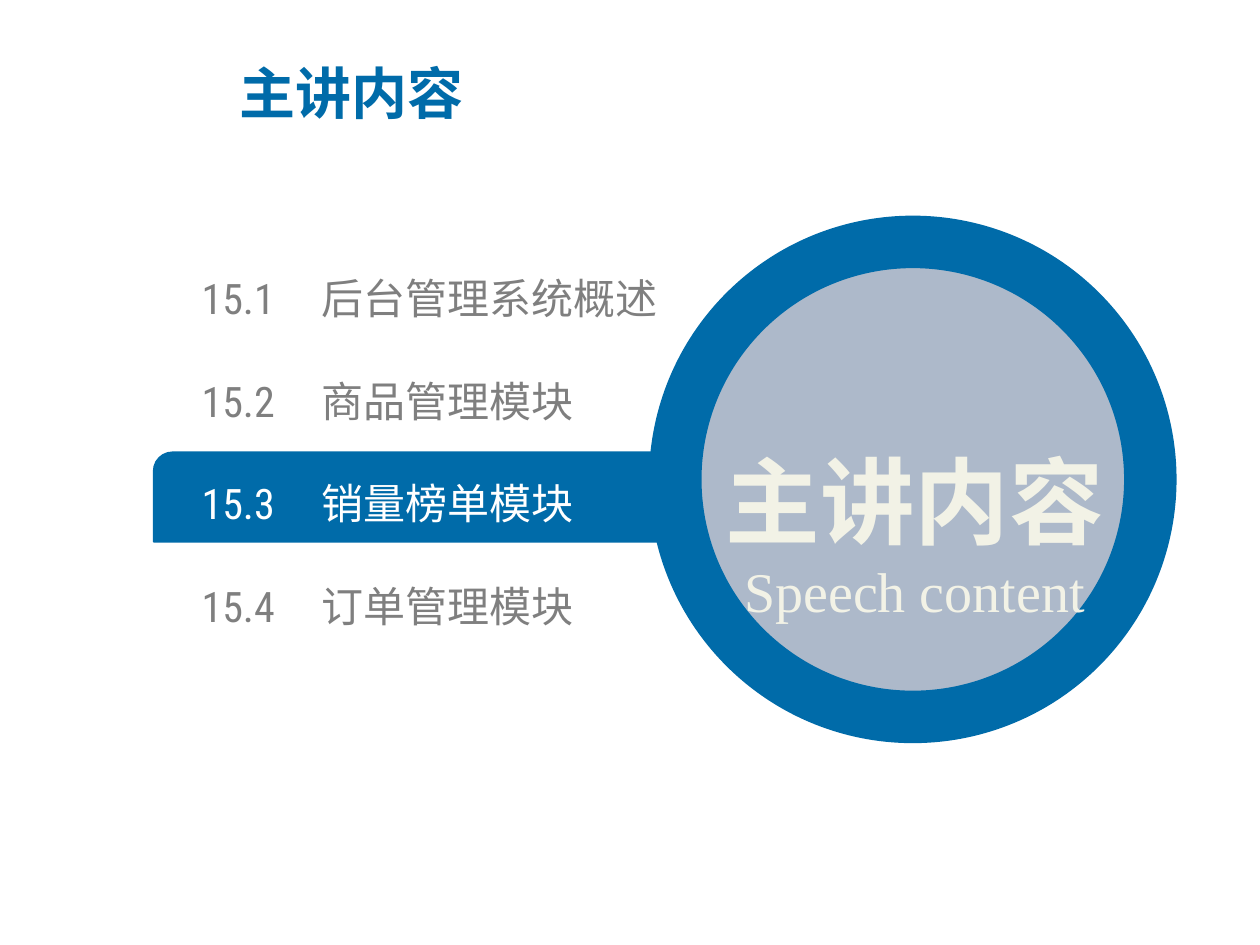
from pptx import Presentation
from pptx.dml.color import RGBColor
from pptx.enum.shapes import MSO_SHAPE
from pptx.enum.text import MSO_ANCHOR, MSO_AUTO_SIZE, PP_ALIGN
from pptx.oxml.ns import qn
from pptx.util import Inches, Pt
from lxml import etree

BAR, RING = MSO_SHAPE.ROUND_2_DIAG_RECTANGLE, MSO_SHAPE.OVAL
MIDDLE, FIXED = MSO_ANCHOR.MIDDLE, MSO_AUTO_SIZE.NONE
LEFT, CENTER = PP_ALIGN.LEFT, PP_ALIGN.CENTER
COLORS = {"blue": "006BA9", "disc": "ADB9CA", "cream": "F2F2E6",
          "gray": "7F7F7F", "white": "FFFFFF"}
CJK, NUMERALS, SERIF = "Noto Sans CJK SC", "Roboto Condensed", "Times New Roman"


def write(paragraph, text, font_name, size, color, bold=False, align=LEFT):
    paragraph.text = text
    paragraph.alignment = align
    font = paragraph.font
    font.name, font.size, font.bold = font_name, Pt(size), bold
    font.color.rgb = RGBColor.from_string(COLORS[color])
    # East Asian characters take their own typeface
    properties = paragraph._p.pPr.find(qn("a:defRPr"))
    latin = properties.find(qn("a:latin"))
    east_asian = etree.Element(qn("a:ea"), typeface=CJK)
    latin.addnext(east_asian)


def add_figure(kind, left, top, width, height, fill, line_width):
    figure = slide.shapes.add_shape(
        kind, Inches(left), Inches(top), Inches(width), Inches(height))
    figure.shadow.inherit = False
    figure.fill.solid()
    figure.fill.fore_color.rgb = RGBColor.from_string(COLORS[fill])
    figure.line.color.rgb = RGBColor.from_string(COLORS["blue"])
    figure.line.width = Pt(line_width)
    return figure


prs = Presentation()
prs.slide_width, prs.slide_height = Inches(10), Inches(7.5)
slide = prs.slides.add_slide(prs.slide_layouts[5])

# Title
title = slide.shapes.title
title.left, title.top = Inches(1.8), Inches(0.43)
title.width, title.height = Inches(5.41), Inches(0.61)
title.text_frame.vertical_anchor = MIDDLE
title.text_frame.auto_size = FIXED
write(title.text_frame.paragraphs[0], "主讲内容", CJK, 32, "blue", bold=True)

# Bar behind the current section, running into the ring
bar = add_figure(BAR, 1.22, 3.59, 5.12, 0.71, "blue", 1)
bar.adjustments[0], bar.adjustments[1] = 0.209, 0
add_figure(RING, 5.36, 1.92, 3.77, 3.77, "disc", 30)

# Ring caption
caption = slide.shapes.add_textbox(
    Inches(5.31), Inches(3.01), Inches(3.9), Inches(2)).text_frame
caption.word_wrap = True
caption.vertical_anchor = MIDDLE
heading = caption.paragraphs[0]
write(heading, "主讲内容", CJK, 54, "cream", bold=True, align=CENTER)
heading.line_spacing = 1.5
write(caption.add_paragraph(), "Speech content", SERIF, 32, "cream", align=CENTER)

# Section list: number, tab, name
sections = ["后台管理系统概述", "商品管理模块", "销量榜单模块", "订单管理模块"]
current = 3
for number, name in enumerate(sections, start=1):
    top = 2.16 + (number - 1) * 2.45 / 3
    entry = slide.shapes.add_textbox(
        Inches(1.6), Inches(top), Inches(3.67), Inches(0.4)).text_frame
    entry.margin_left = entry.margin_right = 0
    entry.margin_top = entry.margin_bottom = 0
    entry.word_wrap = True
    entry.vertical_anchor = MIDDLE
    line = entry.paragraphs[0]
    write(line, f"15.{number}\t{name}", NUMERALS, 24,
          "white" if number == current else "gray")
    tabs = etree.Element(qn("a:tabLst"))
    etree.SubElement(tabs, qn("a:tab"), pos=str(Inches(0.95)), algn="l")
    line._p.pPr.insert(0, tabs)

prs.save("out.pptx")
